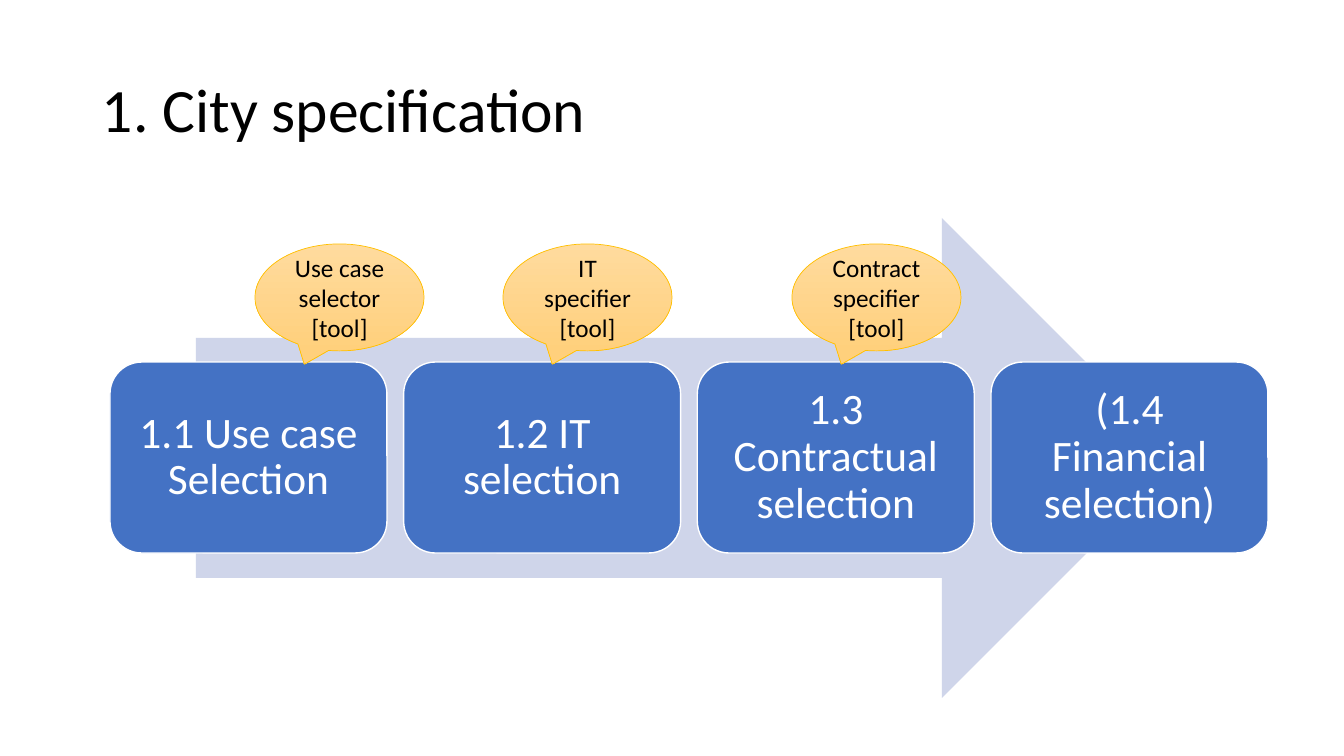
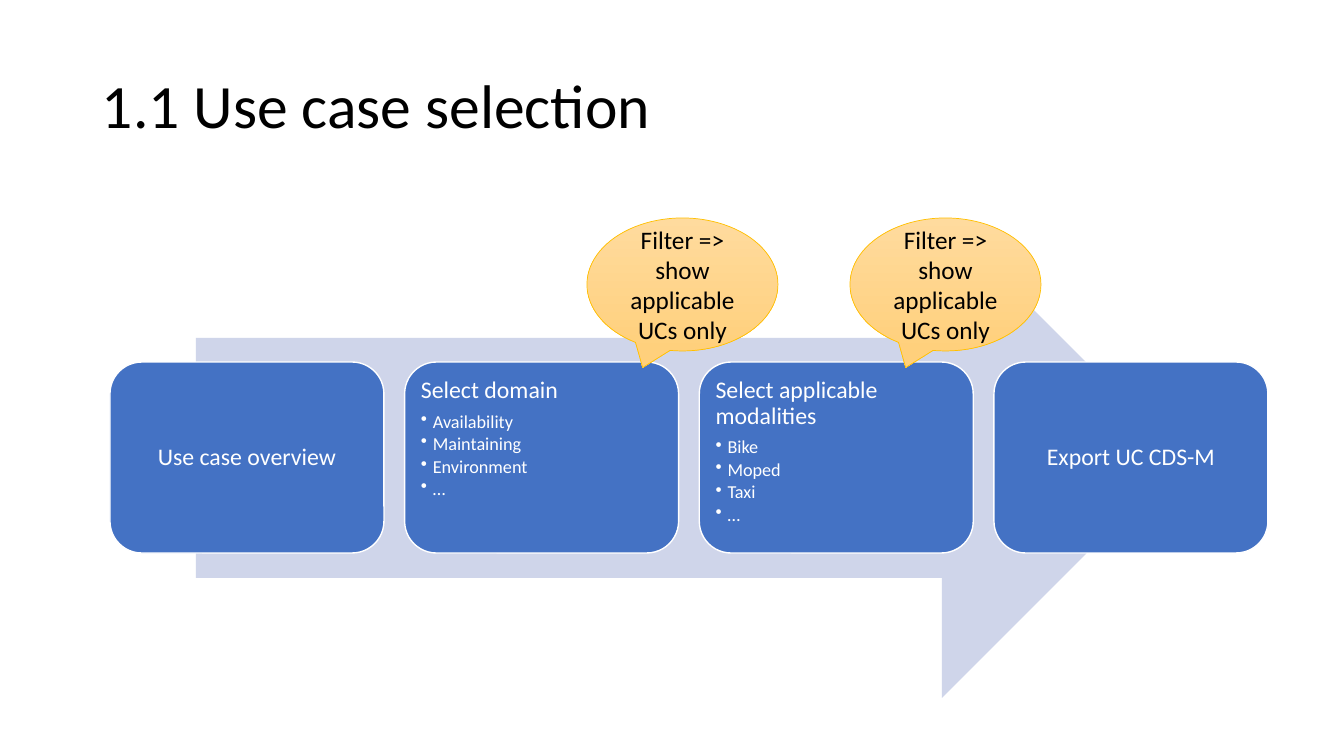
import pptx
import pptx.dml.color
import pptx.enum.shapes
import pptx.enum.text
import pptx.util
from lxml import etree

SHAPES = pptx.enum.shapes.MSO_SHAPE
ALIGN = pptx.enum.text.PP_ALIGN
ANCHOR = pptx.enum.text.MSO_ANCHOR
RGB = pptx.dml.color.RGBColor

BLACK = RGB(0x00, 0x00, 0x00)
WHITE = RGB(0xFF, 0xFF, 0xFF)
BLUE = RGB(0x44, 0x72, 0xC4)
PALE_BLUE = RGB(0xCF, 0xD5, 0xEA)
GOLD = RGB(0xFF, 0xC0, 0x00)
LIGHT_GOLD = RGB(0xFF, 0xDB, 0x9E)
DEEP_GOLD = RGB(0xFF, 0xD0, 0x7C)

FONT = "Calibri"
EMU_PER_PIXEL = 914400 / 100.8
STEPS_LEFT, STEPS_RIGHT = 110, 1268
BULLET_INDENT = 12


def px(pixels):
    """Turn pixels into EMU."""
    return pptx.util.Emu(round(pixels * EMU_PER_PIXEL))


class ProcessDeck:
    """Holds the shared style and the current slide."""

    def __init__(self):
        """Start an empty widescreen presentation."""
        self.presentation = pptx.Presentation()
        self.presentation.slide_width = px(1344)
        self.presentation.slide_height = px(756)
        self.slide = None

    def start_slide(self, title, top):
        """Add a slide with its title and the arrow behind the steps."""
        layout = self.presentation.slide_layouts[6]
        self.slide = self.presentation.slides.add_slide(layout)
        heading = self.slide.shapes.add_textbox(px(92), px(top), px(1159), px(146))
        self.prepare_frame(heading.text_frame, ANCHOR.MIDDLE)
        self.style_text(heading.text_frame.paragraphs[0], title, 44, BLACK, ALIGN.LEFT, 0.9)
        arrow = self.shape(SHAPES.RIGHT_ARROW, 196, 218, 986, 480)
        arrow.fill.solid()
        arrow.fill.fore_color.rgb = PALE_BLUE
        arrow.line.fill.background()

    def shape(self, kind, left, top, width, height):
        """Add a preset shape without a shadow."""
        added = self.slide.shapes.add_shape(kind, px(left), px(top), px(width), px(height))
        added.shadow.inherit = False
        return added

    def outline(self, shape, color, points):
        """Give a shape its outline."""
        shape.line.color.rgb = color
        shape.line.width = pptx.util.Pt(points)

    def prepare_frame(self, frame, anchor, inset=None):
        """Set wrapping, anchor and, if given, equal insets."""
        frame.word_wrap = True
        frame.vertical_anchor = anchor
        if inset is not None:
            frame.margin_left = frame.margin_right = px(inset)
            frame.margin_top = frame.margin_bottom = px(inset)

    def style_text(self, paragraph, text, size, color, align, spacing=1.0):
        """Fill a paragraph and format its runs."""
        paragraph.text = text
        paragraph.alignment = align
        paragraph.line_spacing = spacing
        for run in paragraph.runs:
            run.font.name = FONT
            run.font.size = pptx.util.Pt(size)
            run.font.color.rgb = color

    def bullet(self, frame, text):
        """Append a bulleted line to a step."""
        paragraph = frame.add_paragraph()
        self.style_text(paragraph, text, 13, WHITE, ALIGN.LEFT, 0.9)
        paragraph.level = 1
        paragraph.space_after = pptx.util.Pt(2)
        properties = paragraph._p.get_or_add_pPr()
        properties.set("marL", str(px(BULLET_INDENT)))
        properties.set("indent", str(-px(BULLET_INDENT)))
        mark = etree.SubElement(properties, pptx.oxml.ns.qn("a:buChar"))
        mark.set("char", "•")

    def steps(self, entries, width, size, inset):
        """Spread the steps evenly; each entry is a heading and its bullets."""
        pitch = (STEPS_RIGHT - STEPS_LEFT - width) / (len(entries) - 1)
        for index, (heading, bullets) in enumerate(entries):
            step = self.shape(SHAPES.ROUNDED_RECTANGLE,
                              STEPS_LEFT + index * pitch, 362, width, 191)
            step.fill.solid()
            step.fill.fore_color.rgb = BLUE
            self.outline(step, WHITE, 1)
            frame = step.text_frame
            self.prepare_frame(frame, ANCHOR.TOP if bullets else ANCHOR.MIDDLE, inset)
            first = frame.paragraphs[0]
            self.style_text(first, heading, size, WHITE,
                            ALIGN.LEFT if bullets else ALIGN.CENTER, 0.9)
            if bullets:
                first.space_after = pptx.util.Pt(6)
            for text in bullets:
                self.bullet(frame, text)

    def callout(self, text, left, top, width, height):
        """Add a golden speech bubble."""
        bubble = self.shape(SHAPES.OVAL_CALLOUT, left, top, width, height)
        bubble.fill.gradient()
        bubble.fill.gradient_angle = 270
        for stop, color in zip(bubble.fill.gradient_stops, (LIGHT_GOLD, DEEP_GOLD)):
            stop.color.rgb = color
        self.outline(bubble, GOLD, 0.5)
        self.prepare_frame(bubble.text_frame, ANCHOR.MIDDLE)
        self.style_text(bubble.text_frame.paragraphs[0], text, 18, BLACK, ALIGN.CENTER)


def city_specification(deck):
    """Build the overview of the four selections."""
    deck.start_slide("1. City specification", 40)
    selections = ("1.1 Use case Selection", "1.2 IT selection",
                  "1.3 Contractual selection", "(1.4 Financial selection)")
    deck.steps([(selection, ()) for selection in selections], 277, 31, 13)
    tools = (("Use case selector [tool]", 255), ("IT specifier [tool]", 503),
             ("Contract specifier [tool]", 792))
    for tool, left in tools:
        deck.callout(tool, left, 244, 169, 107)


def use_case_selection(deck):
    """Build the steps of the use case selection."""
    deck.start_slide("1.1 Use case selection", 36)
    deck.steps([
        ("Use case overview", ()),
        ("Select domain", ("Availability", "Maintaining", "Environment", "…")),
        ("Select applicable modalities", ("Bike", "Moped", "Taxi", "…")),
        ("Export UC CDS-M", ()),
    ], 274, 17, 7)
    for left in (587, 850):
        deck.callout("Filter => show applicable UCs only", left, 218, 191, 133)


deck = ProcessDeck()
city_specification(deck)
use_case_selection(deck)
deck.presentation.save("out.pptx")
